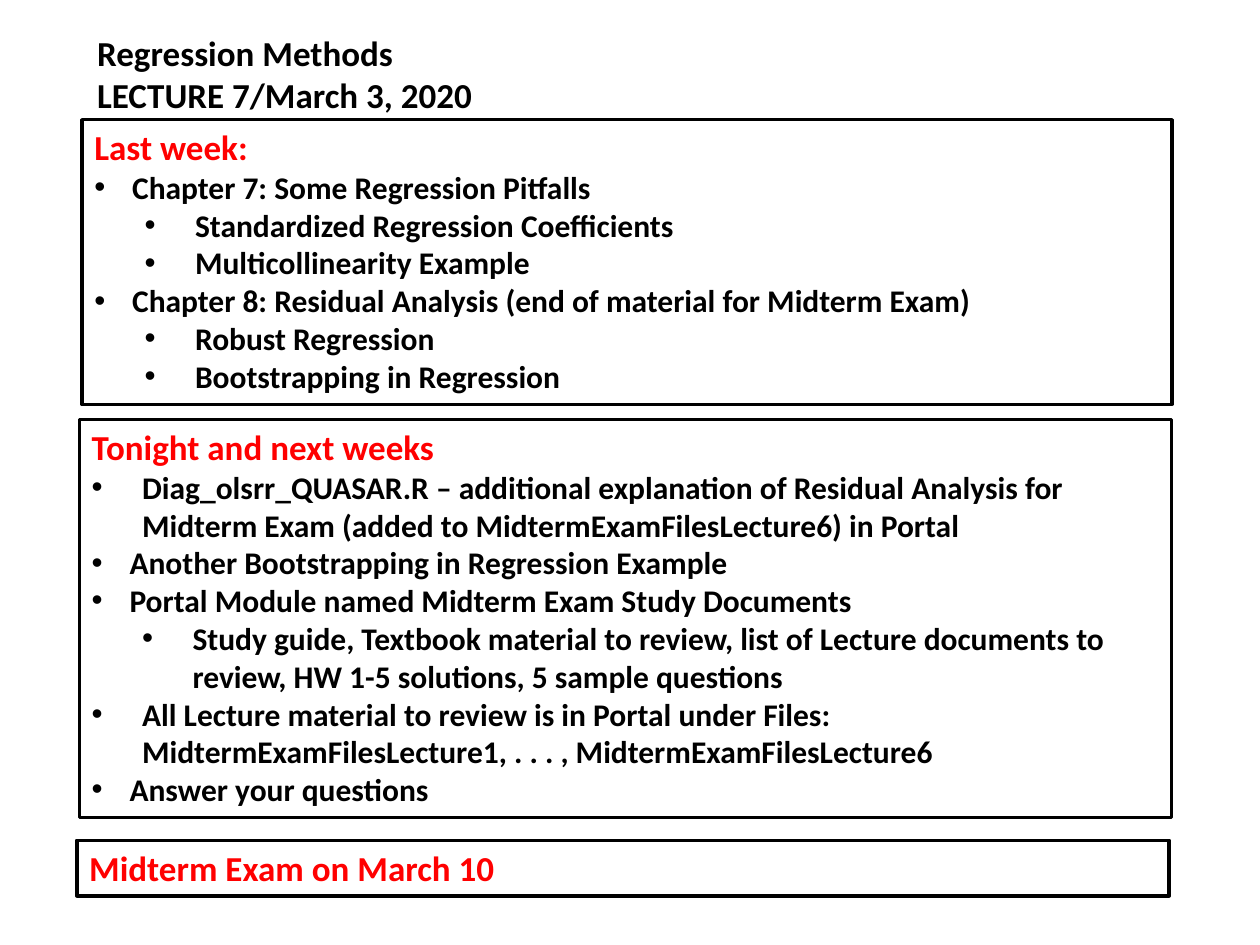
from lxml.etree import SubElement
from pptx import Presentation
from pptx.dml.color import RGBColor
from pptx.enum.shapes import MSO_SHAPE
from pptx.enum.text import MSO_ANCHOR, MSO_AUTO_SIZE, PP_ALIGN
from pptx.oxml.ns import qn
from pptx.util import Inches, Pt

BLACK, RED, WHITE = "000000", "FF0000", "FFFFFF"
COLUMNS, ROWS = 100, 75


def color(value):
    """Turn a hex string into a colour."""
    return RGBColor.from_string(value)


class AgendaSlide:
    """Holds the style and the slide, and adds its elements."""

    font_name = "Calibri"
    heading_size, item_size = 20, 18
    border_width = 2
    bullet_step = 0.4

    def __init__(self, deck):
        """Start a title-only slide."""
        self.slide = deck.slides.add_slide(deck.slide_layouts[5])
        self.column = deck.slide_width / COLUMNS
        self.row = deck.slide_height / ROWS

    def place(self, shape, left, top, width, height):
        """Set a shape's frame in grid columns and rows."""
        shape.left, shape.width = (round(n * self.column) for n in (left, width))
        shape.top, shape.height = (round(n * self.row) for n in (top, height))

    def format_frame(self, frame):
        """Set wrapping, anchor and insets of a text frame."""
        frame.word_wrap = True
        frame.auto_size = MSO_AUTO_SIZE.NONE
        frame.vertical_anchor = MSO_ANCHOR.TOP
        frame.margin_left = frame.margin_right = Inches(0.1)
        frame.margin_top = frame.margin_bottom = Inches(0.05)

    def set_text(self, paragraph, text, size, tint):
        """Fill a paragraph with bold, left-aligned text."""
        paragraph.text = text
        paragraph.alignment = PP_ALIGN.LEFT
        font = paragraph.font
        font.name, font.size, font.bold = self.font_name, Pt(size), True
        font.color.rgb = color(tint)

    def bullet(self, paragraph, margin):
        """Give a paragraph a hanging bullet."""
        properties = paragraph._p.get_or_add_pPr()
        properties.set("marL", str(Inches(margin)))
        properties.set("indent", str(-Inches(min(margin, self.bullet_step))))
        bullet_font = SubElement(properties, qn("a:buFont"))
        bullet_font.set("typeface", "Arial")
        SubElement(properties, qn("a:buChar")).set("char", "•")
        # Schema order: default run properties follow the bullet.
        properties.append(properties.find(qn("a:defRPr")))

    def title(self, lines, *frame):
        """Move the title placeholder and fill it line by line."""
        title = self.slide.shapes.title
        self.place(title, *frame)
        self.format_frame(title.text_frame)
        title.text_frame.text = "\n".join(lines)
        for paragraph, line in zip(title.text_frame.paragraphs, lines):
            self.set_text(paragraph, line, self.heading_size, BLACK)

    def panel(self, heading, items, *frame, fill=WHITE):
        """Add a bordered box with a red heading and (level, margin, text) items."""
        panel = self.slide.shapes.add_shape(MSO_SHAPE.RECTANGLE, 0, 0, 0, 0)
        self.place(panel, *frame)
        panel.shadow.inherit = False
        if fill:
            panel.fill.solid()
            panel.fill.fore_color.rgb = color(fill)
        else:
            panel.fill.background()
        panel.line.color.rgb = color(BLACK)
        panel.line.width = Pt(self.border_width)
        text = panel.text_frame
        self.format_frame(text)
        self.set_text(text.paragraphs[0], heading, self.heading_size, RED)
        for level, margin, item in items:
            paragraph = text.add_paragraph()
            paragraph.level = level
            self.set_text(paragraph, item, self.item_size, BLACK)
            self.bullet(paragraph, margin)


LAST_WEEK = [
    (0, 0.3, "Chapter 7: Some Regression Pitfalls"),
    (1, 0.8, "Standardized Regression Coefficients"),
    (1, 0.8, "Multicollinearity Example"),
    (0, 0.3, "Chapter 8: Residual Analysis (end of material for Midterm Exam)"),
    (1, 0.8, "Robust Regression"),
    (1, 0.8, "Bootstrapping in Regression"),
]
NEXT_WEEKS = [
    (0, 0.4, "Diag_olsrr_QUASAR.R – additional explanation of Residual Analysis "
             "for Midterm Exam (added to MidtermExamFilesLecture6) in Portal"),
    (0, 0.3, "Another Bootstrapping in Regression Example"),
    (1, 0.3, "Portal Module named Midterm Exam Study Documents"),
    (2, 0.8, "Study guide, Textbook material to review, list of Lecture documents "
             "to review, HW 1-5 solutions, 5 sample questions"),
    (1, 0.4, "All Lecture material to review is in Portal under Files: "
             "MidtermExamFilesLecture1, . . . , MidtermExamFilesLecture6"),
    (1, 0.3, "Answer your questions"),
]

deck = Presentation()
deck.slide_width, deck.slide_height = Inches(10), Inches(7.5)
agenda = AgendaSlide(deck)
agenda.title(["Regression Methods", "LECTURE 7/March 3, 2020"], 6.7, 2, 80, 7.7)
agenda.panel("Last week:", LAST_WEEK, 6.5, 9.5, 86.5, 22.6, fill=None)
agenda.panel("Tonight and next weeks", NEXT_WEEKS, 6.3, 33.3, 86.7, 31.6)
agenda.panel("Midterm Exam on March 10", [], 6.1, 66.7, 86.7, 4.4)
deck.save("out.pptx")
